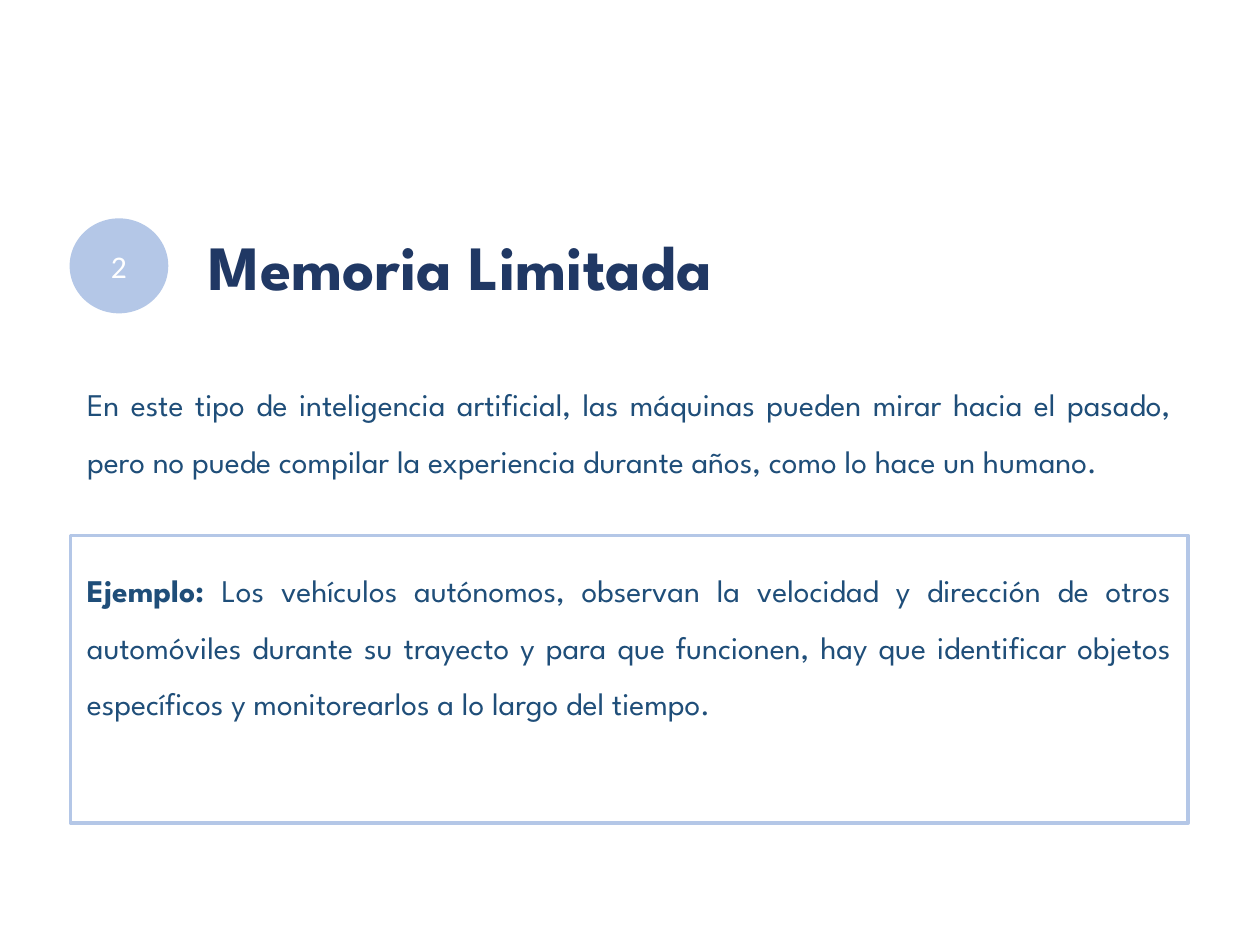
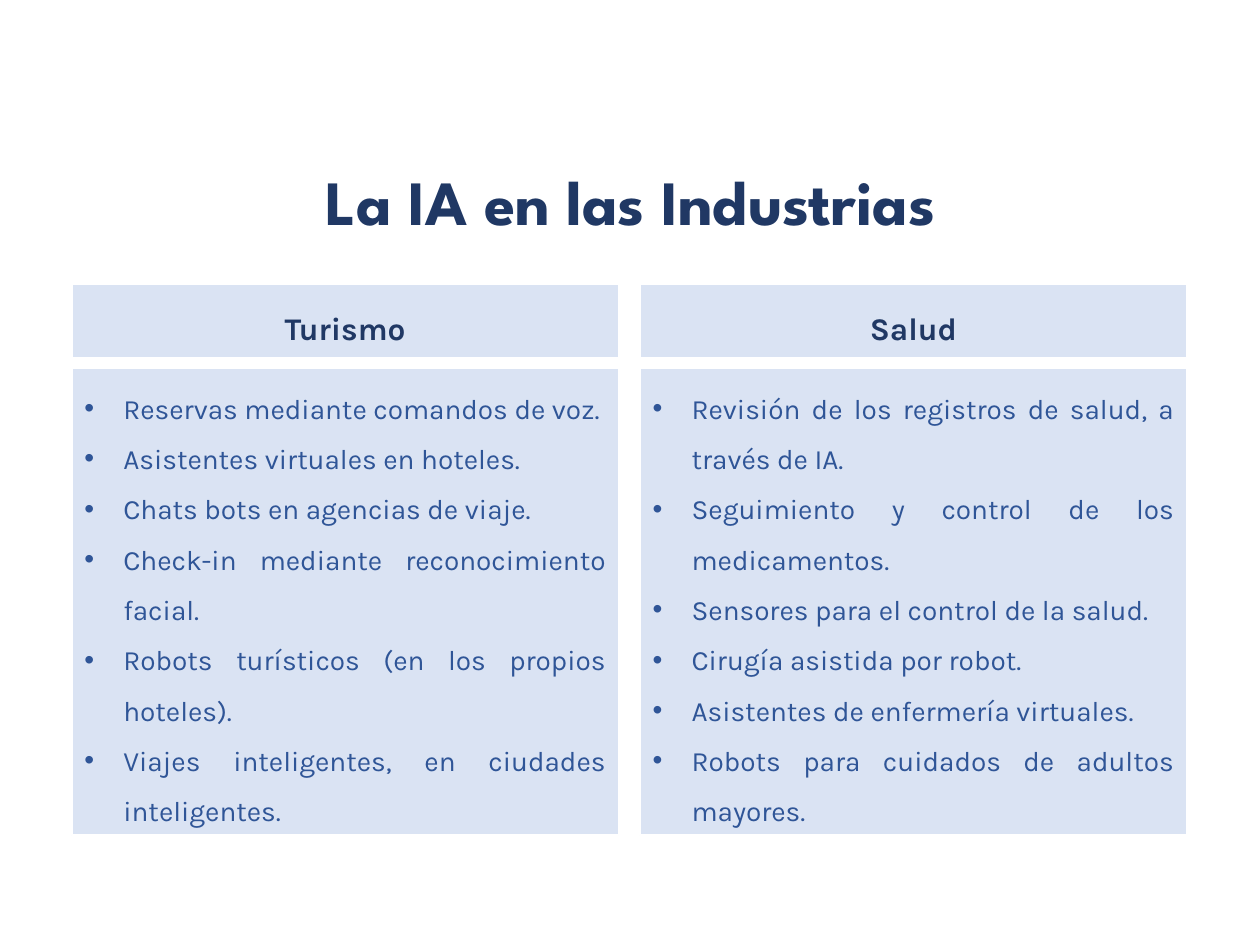
"""Build two slides about limited-memory AI and AI in industry."""

import dataclasses
import typing

import lxml.etree
import pptx
import pptx.dml.color
import pptx.enum.shapes
import pptx.enum.text
import pptx.oxml.ns
import pptx.presentation
import pptx.util

Pt = pptx.util.Pt
RGBColor = pptx.dml.color.RGBColor
Align = pptx.enum.text.PP_ALIGN
Anchor = pptx.enum.text.MSO_ANCHOR
ShapeKind = pptx.enum.shapes.MSO_SHAPE

WHITE = RGBColor(0xFF, 0xFF, 0xFF)
NAVY = RGBColor(0x20, 0x38, 0x64)
TEAL_BLUE = RGBColor(0x1F, 0x4E, 0x79)
LIST_BLUE = RGBColor(0x2F, 0x55, 0x97)
ACCENT = RGBColor(0xB4, 0xC7, 0xE7)
PANEL = RGBColor(0xDA, 0xE3, 0xF3)

TITLE_FONT = "League Spartan"
PANEL_FONT = "Karla"
BULLET_INDENT = Pt(22.3)
WIDE_INSETS = (9.4, 9.4)
NORMAL_INSETS = (7.2, 3.6)
TITLE_LAYOUT, COMPARISON_LAYOUT = 1, 4


@dataclasses.dataclass(frozen=True)
class Box:
    """Position and size in points."""

    left: float
    top: float
    width: float
    height: float


@dataclasses.dataclass(frozen=True)
class Style:
    """Text and surface format of one kind of element."""

    font: str
    size: float
    color: RGBColor
    align: Align = Align.CENTER
    spacing: float = 1.0
    space_before: float = 0
    bold: bool = False
    anchor: Anchor = Anchor.TOP
    insets: tuple[float, float] = NORMAL_INSETS
    bulleted: bool = False
    fill: RGBColor | None = None
    line: RGBColor | None = None
    line_width: float = 1


@dataclasses.dataclass(frozen=True)
class Industry:
    """One column of the industries slide."""

    name: str
    uses: tuple[str, ...]


TITLE = Style(TITLE_FONT, 36, NAVY, spacing=0.9, bold=True, insets=WIDE_INSETS)
NUMBER = Style("Calibri", 18, WHITE, anchor=Anchor.MIDDLE, fill=ACCENT, line=ACCENT)
INTRO = Style(TITLE_FONT, 18, TEAL_BLUE, Align.JUSTIFY, 1.5,
              anchor=Anchor.MIDDLE, insets=WIDE_INSETS)
EXAMPLE = dataclasses.replace(INTRO, anchor=Anchor.TOP, space_before=8,
                              line=ACCENT, line_width=2.25)
HEADING = Style(PANEL_FONT, 18, NAVY, spacing=1.5, bold=True, fill=PANEL, line=WHITE)
USES = Style(PANEL_FONT, 16, LIST_BLUE, Align.JUSTIFY, 1.5,
             bulleted=True, fill=PANEL, line=WHITE)

INDUSTRIES = (
    Industry("Turismo", (
        "Reservas mediante comandos de voz.",
        "Asistentes virtuales en hoteles.",
        "Chats bots en agencias de viaje.",
        "Check-in mediante reconocimiento facial.",
        "Robots turísticos (en los propios hoteles).",
        "Viajes inteligentes, en ciudades inteligentes.",
    )),
    Industry("Salud", (
        "Revisión de los registros de salud, a través de IA.",
        "Seguimiento y control de los medicamentos.",
        "Sensores para el control de la salud.",
        "Cirugía asistida por robot.",
        "Asistentes de enfermería virtuales.",
        "Robots para cuidados de adultos mayores.",
    )),
)


def set_values(target: typing.Any, values: dict[str, typing.Any]) -> None:
    """Set each named attribute of the target."""
    for name, value in values.items():
        setattr(target, name, value)


def set_bullet(paragraph: typing.Any, style: Style) -> None:
    """Give the paragraph a coloured bullet, or none at all."""
    properties = paragraph._p.get_or_add_pPr()
    indent = BULLET_INDENT if style.bulleted else 0
    properties.set("marL", str(indent))
    properties.set("indent", str(-indent))

    def add(parent: typing.Any, tag: str, **attributes: str) -> typing.Any:
        """Append one drawing element."""
        return lxml.etree.SubElement(parent, pptx.oxml.ns.qn(tag), attributes)

    if style.bulleted:
        add(add(properties, "a:buClr"), "a:srgbClr", val=str(style.color))
        add(properties, "a:buFont", typeface="Arial")
        add(properties, "a:buChar", char="•")
    else:
        add(properties, "a:buNone")


def add_run(paragraph: typing.Any, text: str, style: Style, bold: bool) -> None:
    """Add a formatted run to the paragraph."""
    run = paragraph.add_run()
    run.text = text
    set_values(run.font, {"name": style.font, "size": Pt(style.size), "bold": bold})
    run.font.color.rgb = style.color


def paint(shape: typing.Any, style: Style) -> None:
    """Apply fill and outline to the shape."""
    shape.shadow.inherit = False
    if style.fill is None:
        shape.fill.background()
    else:
        shape.fill.solid()
        shape.fill.fore_color.rgb = style.fill
    if style.line is None:
        shape.line.fill.background()
    else:
        shape.line.color.rgb = style.line
        shape.line.width = Pt(style.line_width)


def compose(shape: typing.Any, box: Box, style: Style,
            texts: typing.Sequence[str], lead: str = "") -> None:
    """Place, paint and fill the shape with text, after an optional bold lead."""
    set_values(shape, {name: Pt(value) for name, value in dataclasses.asdict(box).items()})
    paint(shape, style)
    side, edge = map(Pt, style.insets)
    frame = shape.text_frame
    set_values(frame, {
        "word_wrap": True,
        "auto_size": pptx.enum.text.MSO_AUTO_SIZE.NONE,
        "vertical_anchor": style.anchor,
        "margin_left": side,
        "margin_right": side,
        "margin_top": edge,
        "margin_bottom": edge,
    })
    for index, text in enumerate(texts):
        paragraph = frame.add_paragraph() if index else frame.paragraphs[0]
        set_values(paragraph, {
            "alignment": style.align,
            "line_spacing": style.spacing,
            "space_before": Pt(style.space_before),
            "space_after": Pt(0),
        })
        set_bullet(paragraph, style)
        if lead and not index:
            add_run(paragraph, lead, style, True)
        add_run(paragraph, text, style, style.bold)


def add_memory_slide(presentation: pptx.presentation.Presentation) -> None:
    """Add the slide on limited memory."""
    slide = presentation.slides.add_slide(presentation.slide_layouts[TITLE_LAYOUT])
    left, width = 40.3, 638.6
    circle = slide.shapes.add_shape(ShapeKind.OVAL, 0, 0, 0, 0)
    compose(circle, Box(left, 125.3, 55.4, 53.3), NUMBER, ["2"])
    compose(slide.shapes.title, Box(79.9, 125.3, 366.5, 73.4), TITLE, ["Memoria Limitada"])
    compose(slide.placeholders[1], Box(left, 178.6, width, 126), INTRO, [
        "En este tipo de inteligencia artificial, las máquinas pueden mirar hacia el "
        "pasado, pero no puede compilar la experiencia durante años, como lo hace un humano."
    ])
    example = slide.shapes.add_shape(ShapeKind.RECTANGLE, 0, 0, 0, 0)
    compose(example, Box(left, 306, width, 164.2), EXAMPLE, [
        "Los vehículos autónomos, observan la velocidad y dirección de otros automóviles "
        "durante su trayecto y para que funcionen, hay que identificar objetos específicos "
        "y monitorearlos a lo largo del tiempo."
    ], lead="Ejemplo: ")


def add_industries_slide(presentation: pptx.presentation.Presentation) -> None:
    """Add the slide comparing industries in columns."""
    slide = presentation.slides.add_slide(presentation.slide_layouts[COMPARISON_LAYOUT])
    compose(slide.shapes.title, Box(52.6, 88.6, 615.6, 73.4), TITLE,
            ["La IA en las Industrias"])
    first_left, width, gap = 41, 312.5, 12.2
    for column, industry in enumerate(INDUSTRIES):
        left = first_left + column * (width + gap)
        heading = slide.placeholders[1 + 2 * column]
        uses = slide.placeholders[2 + 2 * column]
        compose(heading, Box(left, 162.3, width, 42.1), HEADING, [industry.name])
        compose(uses, Box(left, 210.3, width, 267), USES, industry.uses)


def main() -> None:
    """Build and save the presentation."""
    presentation = pptx.Presentation()
    set_values(presentation, {"slide_width": Pt(720), "slide_height": Pt(540)})
    add_memory_slide(presentation)
    add_industries_slide(presentation)
    presentation.save("out.pptx")


if __name__ == "__main__":
    main()
